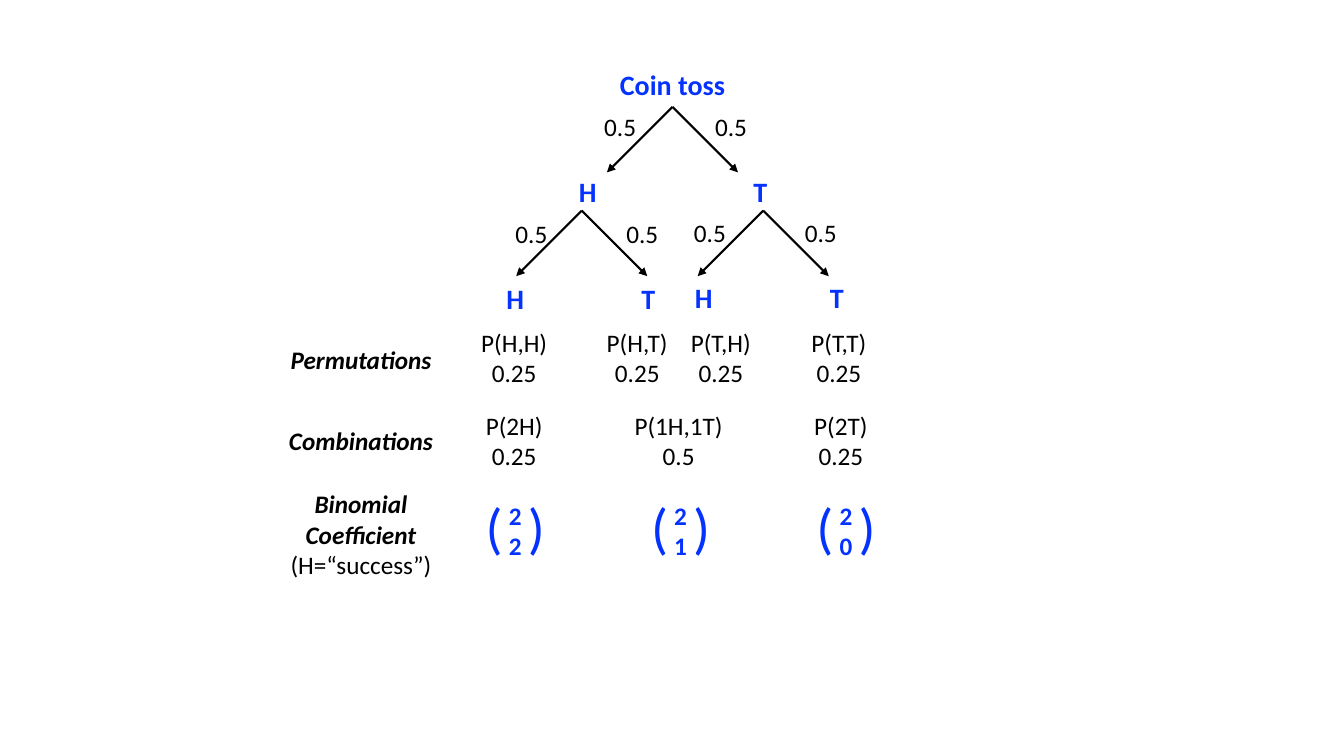
from pptx import Presentation
from pptx.dml.color import RGBColor
from pptx.enum.shapes import MSO_CONNECTOR
from pptx.enum.text import MSO_AUTO_SIZE, PP_ALIGN
from pptx.oxml.ns import qn
from pptx.util import Inches, Pt
from lxml import etree

STRAIGHT = MSO_CONNECTOR.STRAIGHT
FIT_SHAPE = MSO_AUTO_SIZE.SHAPE_TO_FIT_TEXT
CENTER = PP_ALIGN.CENTER
BLUE = RGBColor(0x04, 0x32, 0xFF)
BLACK = RGBColor(0, 0, 0)
FONT = "Calibri"
BRANCH_REACH = 0.65
LABEL_REACH = 0.55
LINE_HEIGHT = 1.22 / 72
INSET = 0.05

# Each entry: text, centre, top, width
OUTCOMES = [
    ("Coin toss", 6.67, 0.62, 1.25),
    ("H", 5.83, 1.68, 0.38), ("T", 7.54, 1.68, 0.34),
    ("H", 5.11, 2.74, 0.38), ("T", 6.43, 2.74, 0.34),
    ("H", 6.98, 2.73, 0.38), ("T", 8.3, 2.73, 0.34),
]
# Each entry: apex, then centre and top of its pair of labels
FORKS = [
    ((6.67, 1.06), (6.7, 1.06)),
    ((5.77, 2.09), (5.82, 2.12)),
    ((7.57, 2.09), (7.59, 2.11)),
]
BRANCH_CHANCE = "0.5"
ROW_TITLES = [
    (["Permutations"], 3.37, 1.61),
    (["Combinations"], 4.17, 1.65),
    (["Binomial", "Coefficient", "(H=“success”)"], 4.8, 1.61),
]
CHANCES = [
    (3.2, [("P(H,H)", "0.25", 5.1, 0.86), ("P(H,T)", "0.25", 6.32, 0.81),
           ("P(T,H)", "0.25", 7.15, 0.8), ("P(T,T)", "0.25", 8.32, 0.78)]),
    (4.02, [("P(2H)", "0.25", 5.1, 0.78), ("P(1H,1T)", "0.5", 6.73, 1.09),
            ("P(2T)", "0.25", 8.34, 0.74)]),
]
COEFFICIENTS = [("2", "2", 5.11), ("2", "1", 6.75), ("2", "0", 8.39)]


def add_text(page, lines, centre, top, width, size=18, color=BLACK,
             bold=False, italic=False):
    height = 2 * INSET + len(lines) * size * LINE_HEIGHT
    box = page.shapes.add_textbox(Inches(centre - width / 2), Inches(top),
                                  Inches(width), Inches(height))
    frame = box.text_frame
    frame.word_wrap = False
    frame.auto_size = FIT_SHAPE
    frame.text = "\n".join(lines)
    for para in frame.paragraphs:
        para.alignment = CENTER
        para.font.name = FONT
        para.font.size = Pt(size)
        para.font.color.rgb = color
        para.font.bold = bold
        para.font.italic = italic
    return frame


def add_arrow(page, start, end):
    arrow = page.shapes.add_connector(STRAIGHT, *map(Inches, start + end))
    arrow.line.color.rgb = BLACK
    arrow.line.width = Pt(1.5)
    etree.SubElement(arrow.line._get_or_add_ln(), qn("a:tailEnd"), type="triangle")
    etree.SubElement(arrow._element.spPr, qn("a:effectLst"))


def add_tree(page):
    for text, centre, top, width in OUTCOMES:
        add_text(page, [text], centre, top, width, 20, BLUE, True)
    for (x, y), (label_centre, label_top) in FORKS:
        for side in (-1, 1):
            add_text(page, [BRANCH_CHANCE], label_centre + side * LABEL_REACH,
                     label_top, 0.52)
            add_arrow(page, (x, y), (x + side * BRANCH_REACH, y + BRANCH_REACH))


def add_summary(page):
    for lines, top, width in ROW_TITLES:
        frame = add_text(page, lines, 3.58, top, width, bold=True, italic=True)
        for para in frame.paragraphs[2:]:
            para.font.bold = para.font.italic = False
    for top, entries in CHANCES:
        for event, chance, centre, width in entries:
            add_text(page, [event, chance], centre, top, width)


def add_coefficient(page, upper, lower, centre):
    add_text(page, [upper, lower], centre, 4.91, 0.33, color=BLUE, bold=True)
    para = add_text(page, [""], centre, 4.84, 0.79, 40, BLUE).paragraphs[0]
    for mark in "( )":
        span = para.add_run()
        span.text = mark
        if mark == " ":
            span._r.get_or_add_rPr().set("spc", "900")


def main():
    deck = Presentation()
    deck.slide_width, deck.slide_height = Inches(13.33), Inches(7.5)
    page = deck.slides.add_slide(deck.slide_layouts[6])
    add_tree(page)
    add_summary(page)
    for upper, lower, centre in COEFFICIENTS:
        add_coefficient(page, upper, lower, centre)
    deck.save("out.pptx")


if __name__ == "__main__":
    main()
